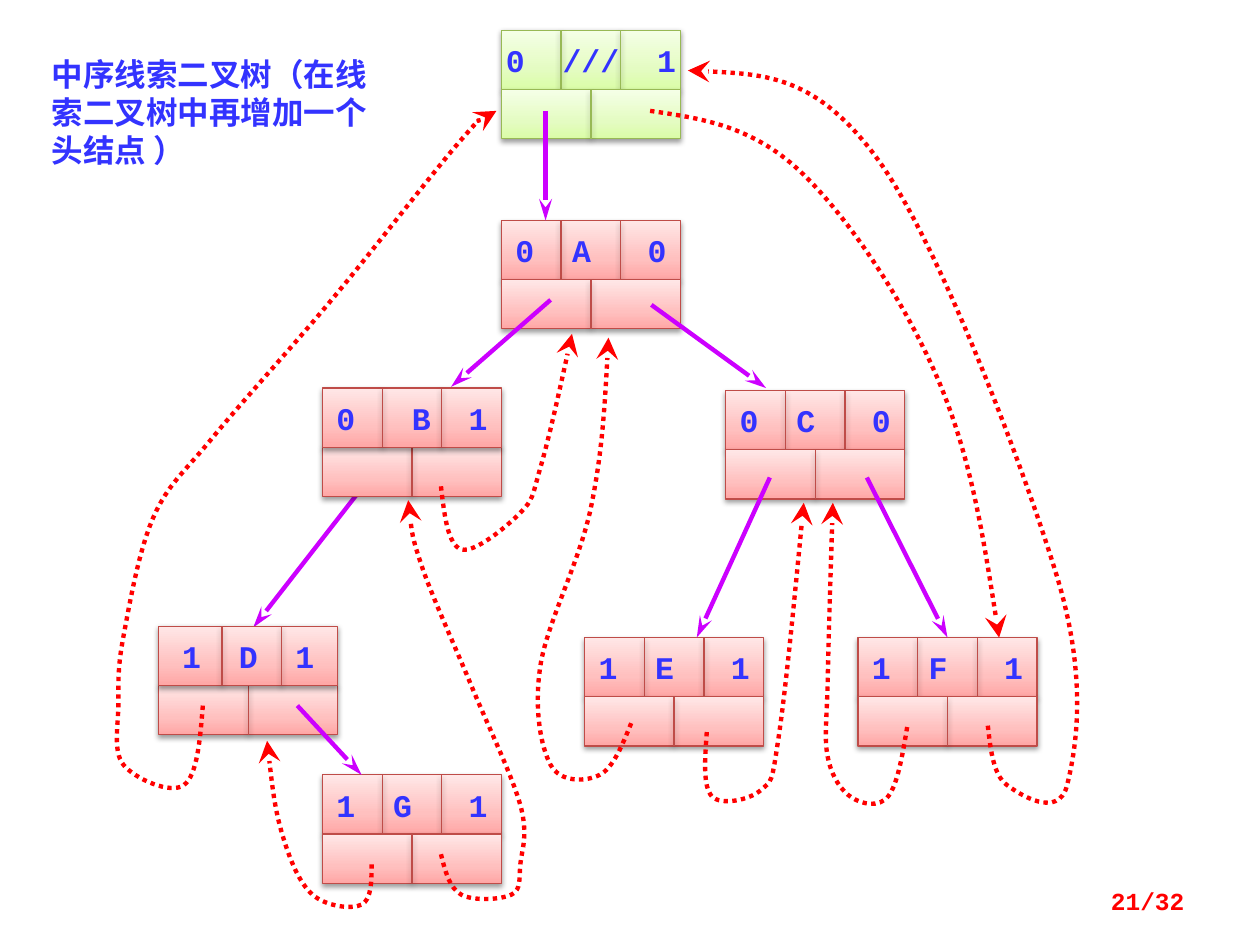
from copy import deepcopy

from lxml import etree
from pptx import Presentation
from pptx.dml.color import RGBColor
from pptx.enum.dml import MSO_LINE
from pptx.enum.shapes import MSO_CONNECTOR, MSO_SHAPE
from pptx.enum.text import MSO_ANCHOR, MSO_AUTO_SIZE, PP_ALIGN
from pptx.oxml.ns import qn
from pptx.util import Inches, Pt

RECTANGLE, STRAIGHT = MSO_SHAPE.RECTANGLE, MSO_CONNECTOR.STRAIGHT
DOTTED = MSO_LINE.ROUND_DOT
LEFT, RIGHT = PP_ALIGN.LEFT, PP_ALIGN.RIGHT
TOP, MIDDLE = MSO_ANCHOR.TOP, MSO_ANCHOR.MIDDLE
NO_AUTOFIT = MSO_AUTO_SIZE.NONE

BLUE = RGBColor.from_string("3333FF")
RED = RGBColor.from_string("FF0000")
PURPLE = RGBColor.from_string("CC00FF")
NODE_EDGE = RGBColor.from_string("BF4C48")
NODE_FILL = [RGBColor.from_string(tone) for tone in ("FFA6A5", "FFC0BF", "FFE7E7")]
ROOT_EDGE = RGBColor.from_string("98B955")
ROOT_FILL = [RGBColor.from_string(tone) for tone in ("DAFDA7", "E4FCC2", "F5FFE7")]

MONO, SERIF, CJK = "Courier New", "Times New Roman", "Noto Sans CJK SC"
NODE_W, FIELD_H, LINK_H = 1.42, 0.47, 0.39
FIELD_W = NODE_W / 3
CHAR_W = 0.15  # one Courier New letter at 18 points

UPPER_NODES = {  # label: left, top, tag on both sides
    "A": (3.98, 1.75, "0"), "E": (4.64, 5.06, "1"),
    "C": (5.76, 3.1, "0"), "F": (6.81, 5.06, "1"),
}
CHILD_LINKS = [
    ((4.37, 2.38), (3.58, 3.07)), ((5.17, 2.42), (6.08, 3.08)),
    ((2.96, 3.76), (2.01, 4.98)), ((6.11, 3.79), (5.53, 5.06)),
]
THREADS = {  # (from, to): the knots of the curve
    ("G", "D"): [(2.95, 6.86), (2.87, 7.18), (2.48, 7.1), (2.24, 6.62), (2.12, 5.88)],
    ("E", "C"): [(5.61, 5.81), (5.65, 6.32), (6.04, 6.27), (6.18, 5.85), (6.38, 3.99)],
    ("F", "C"): [(7.2, 5.77), (7.05, 6.32), (6.76, 6.33), (6.57, 6.01), (6.57, 5.38),
                 (6.61, 3.99)],
    ("root", "F"): [(5.16, 0.88), (6.34, 1.35), (7.44, 3), (7.93, 5.06)],
    ("F", "root"): [(7.84, 5.76), (7.99, 6.23), (8.47, 6.23), (8.39, 4.58),
                    (6.97, 1.27), (5.46, 0.56)],
    ("B", "A"): [(3.5, 3.86), (3.66, 4.36), (4.13, 4.07), (4.29, 3.71), (4.54, 2.65)],
    ("G", "B"): [(3.5, 6.78), (3.66, 7.1), (4.06, 7.1), (4.13, 6.86), (4.13, 6.39),
                 (3.74, 5.44), (3.35, 4.5), (3.24, 3.97)],
    ("D", "root"): [(1.61, 5.6), (1.46, 6.23), (0.98, 6.07), (0.94, 5.58), (0.98, 5.05),
                    (1.22, 4.1), (1.69, 3.47), (2.64, 2.37), (3.66, 1.11), (3.94, 0.88)],
    ("E", "A"): [(5.01, 5.74), (4.76, 6.15), (4.37, 6.07), (4.29, 5.28), (4.69, 4.03),
                 (4.83, 2.68)],
}


def set_font(paragraph, face, size, color):
    font = paragraph.font
    font.name, font.size, font.bold = face, Pt(size), True
    font.color.rgb = color


def set_line(item, color, width):
    item.line.color.rgb = color
    item.line.width = Pt(width)


def add_effects(item, shadow=False):
    """Replace the theme's effects by a soft drop shadow or by none."""
    effects = etree.SubElement(item._element.spPr, qn("a:effectLst"))
    if shadow:
        outer = etree.SubElement(effects, qn("a:outerShdw"), blurRad="40000",
                                 dist="20000", dir="5400000", rotWithShape="0")
        tint = etree.SubElement(outer, qn("a:srgbClr"), val="000000")
        etree.SubElement(tint, qn("a:alpha"), val="38000")


def add_arrowhead(item, width):
    etree.SubElement(item._element.spPr.find(qn("a:ln")), qn("a:tailEnd"),
                     type="stealth", w=width, len="lg")


def add_connector(slide, start, end):
    return slide.shapes.add_connector(
        STRAIGHT, *(Inches(value) for value in (*start, *end)))


def add_box(slide, left, top, height, colors, edge):
    box = slide.shapes.add_shape(RECTANGLE, Inches(left), Inches(top),
                                 Inches(NODE_W), Inches(height))
    box.fill.gradient()
    box.fill.gradient_angle = 90
    stop_list = box._element.spPr.find(".//" + qn("a:gsLst"))
    stop_list.append(deepcopy(stop_list[0]))
    for stop, color, share in zip(box.fill.gradient_stops, colors, (0, 0.35, 1)):
        stop.color.rgb = color
        stop.position = share
    set_line(box, edge, 0.75)
    add_effects(box, shadow=True)
    return box


def add_divider(slide, x, top, height, edge):
    divider = add_connector(slide, (x, top), (x, top + height))
    set_line(divider, edge, 0.75)
    add_effects(divider, shadow=True)
    return divider


def add_link_row(slide, left, top, colors, edge):
    links = add_box(slide, left, top, LINK_H, colors, edge)
    divider = add_divider(slide, left + NODE_W / 2, top, LINK_H, edge)
    divider.begin_connect(links, 0)
    divider.end_connect(links, 2)


def add_field_row(slide, left, top, fields, gaps, colors, edge, shift):
    """Three fields set on tab stops; gaps are counted in letters."""
    row = add_box(slide, left, top, FIELD_H, colors, edge)
    frame = row.text_frame
    frame.word_wrap = True
    frame.vertical_anchor = MIDDLE
    letters = sum(map(len, fields)) + sum(gaps)
    frame.margin_left = Inches((NODE_W - letters * CHAR_W) / 2)
    frame.margin_right = 0
    frame.text = "\t".join(fields)
    paragraph = frame.paragraphs[0]
    paragraph.alignment = LEFT
    tabs = etree.SubElement(paragraph._p.get_or_add_pPr(), qn("a:tabLst"))
    column = 0
    for field, gap in zip(fields, gaps):
        column += len(field) + gap
        etree.SubElement(tabs, qn("a:tab"), pos=str(Inches(column * CHAR_W)), algn="l")
    set_font(paragraph, MONO, 18, BLUE)
    for number in (1, 2):
        add_divider(slide, left + shift + number * FIELD_W, top, FIELD_H, edge)
    return row


def add_node(slide, left, top, fields, gaps=(2, 3), colors=NODE_FILL,
             edge=NODE_EDGE, links_behind=False, shift=0):
    link_row = (slide, left, top + FIELD_H, colors, edge)
    if links_behind:
        add_link_row(*link_row)
    row = add_field_row(slide, left, top, fields, gaps, colors, edge, shift)
    if not links_behind:
        add_link_row(*link_row)
    return row


def add_child_link(slide, start, end):
    link = add_connector(slide, start, end)
    set_line(link, PURPLE, 2.5)
    add_arrowhead(link, "med")
    add_effects(link)
    return link


def midpoint(first, second):
    return tuple((a + b) / 2 for a, b in zip(first, second))


def curve_points(knots):
    """Bézier points of a smooth curve: each inner tangent follows its neighbours."""
    arriving, leaving = [], []
    for before, knot, after in zip(knots, knots[1:], knots[2:]):
        pull = [(b - a) / 6 for a, b in zip(before, after)]
        arriving.append(tuple(k - p for k, p in zip(knot, pull)))
        leaving.append(tuple(k + p for k, p in zip(knot, pull)))
    leaving.insert(0, midpoint(knots[0], arriving[0]))
    arriving.append(midpoint(leaving[-1], knots[-1]))
    return [point for segment in zip(leaving, arriving, knots[1:]) for point in segment]


def add_thread(slide, knots):
    """Dotted curve with an arrowhead at its last knot."""
    start, *rest = [(Inches(x), Inches(y)) for x, y in (knots[0], *curve_points(knots))]
    builder = slide.shapes.build_freeform(*start)
    builder.add_line_segments(rest, close=False)
    thread = builder.convert_to_shape()
    outline = thread._element.spPr.find(".//" + qn("a:pathLst"))[0]
    segments = outline.findall(qn("a:lnTo"))
    for first in range(0, len(segments), 3):
        curve = etree.SubElement(outline, qn("a:cubicBezTo"))
        for segment in segments[first:first + 3]:
            curve.append(segment[0])
            outline.remove(segment)
    thread.fill.background()
    set_line(thread, RED, 2.5)
    thread.line.dash_style = DOTTED
    add_arrowhead(thread, "lg")
    add_effects(thread)


def add_title(slide, text):
    title = slide.shapes.title
    title.left, title.top = Inches(0.31), Inches(0.39)
    title.width, title.height = Inches(2.73), Inches(1.01)
    frame = title.text_frame
    frame.text = text
    frame.word_wrap = True
    frame.auto_size = NO_AUTOFIT
    frame.vertical_anchor = TOP
    paragraph = frame.paragraphs[0]
    paragraph.alignment = LEFT
    paragraph.line_spacing = Pt(21.6)
    set_font(paragraph, SERIF, 18, BLUE)
    etree.SubElement(paragraph._p.pPr.find(qn("a:defRPr")), qn("a:ea"), typeface=CJK)


def add_page_number(slide, text):
    number = slide.shapes.add_textbox(Inches(7.17), Inches(6.95), Inches(2.33), Inches(0.4))
    frame = number.text_frame
    frame.text = text
    frame.word_wrap = True
    frame.vertical_anchor = MIDDLE
    frame.paragraphs[0].alignment = RIGHT
    set_font(frame.paragraphs[0], MONO, 14, RED)


def main():
    deck = Presentation()
    deck.slide_width, deck.slide_height = Inches(10), Inches(7.5)
    slide = deck.slides.add_slide(deck.slide_layouts[5])
    add_title(slide, "中序线索二叉树（在线索二叉树中再增加一个头结点 ）")
    rows = {label: add_node(slide, left, top, (tag, label, tag))
            for label, (left, top, tag) in UPPER_NODES.items()}
    for start, end in CHILD_LINKS:
        add_child_link(slide, start, end)
    add_child_link(slide, (6.88, 3.79), (7.52, 5.06)).end_connect(rows["F"], 0)
    add_node(slide, 2.56, 3.08, ("0", "B", "1"), (3, 2), links_behind=True)
    add_node(slide, 1.26, 4.97, ("1", "D", "1"), (2, 2), links_behind=True, shift=0.03)
    add_node(slide, 2.56, 6.15, ("1", "G", "1"))
    add_child_link(slide, (2.36, 5.6), (2.87, 6.15))
    add_node(slide, 3.98, 0.24, ("0", "///", "1"), (2, 2), ROOT_FILL, ROOT_EDGE)
    add_child_link(slide, (4.33, 0.88), (4.33, 1.75))
    for knots in THREADS.values():
        add_thread(slide, knots)
    add_page_number(slide, "21/32")
    deck.save("out.pptx")


if __name__ == "__main__":
    main()
